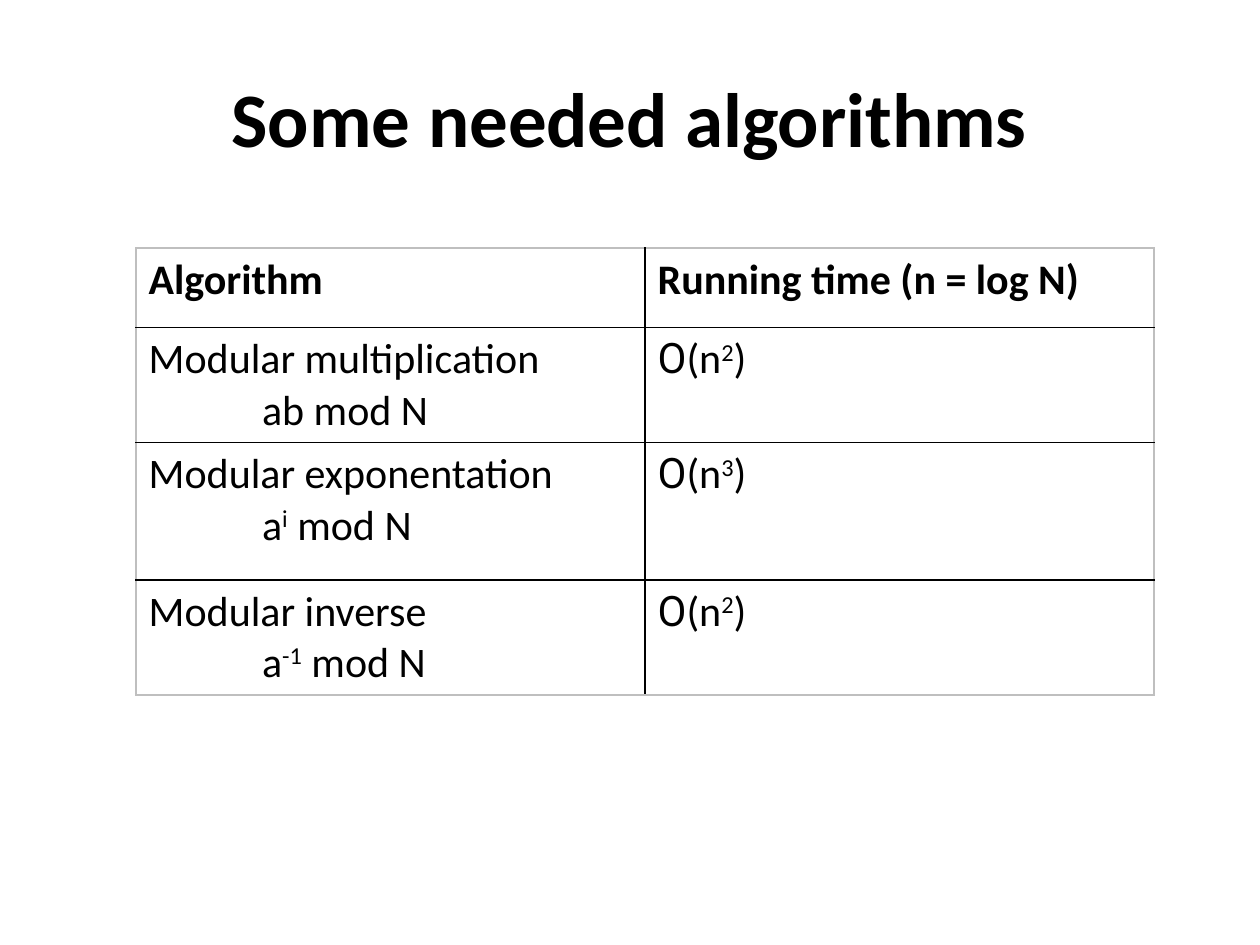
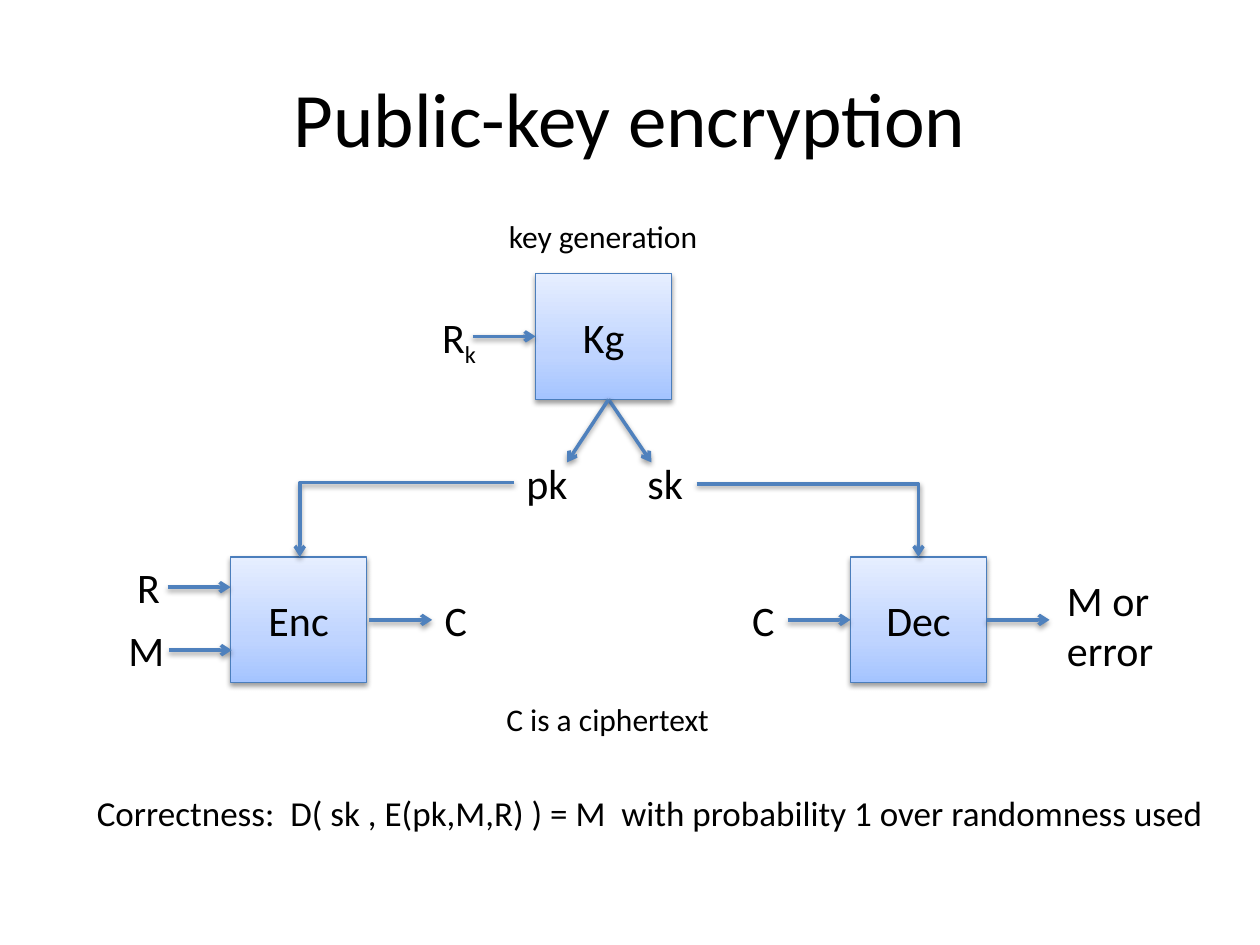
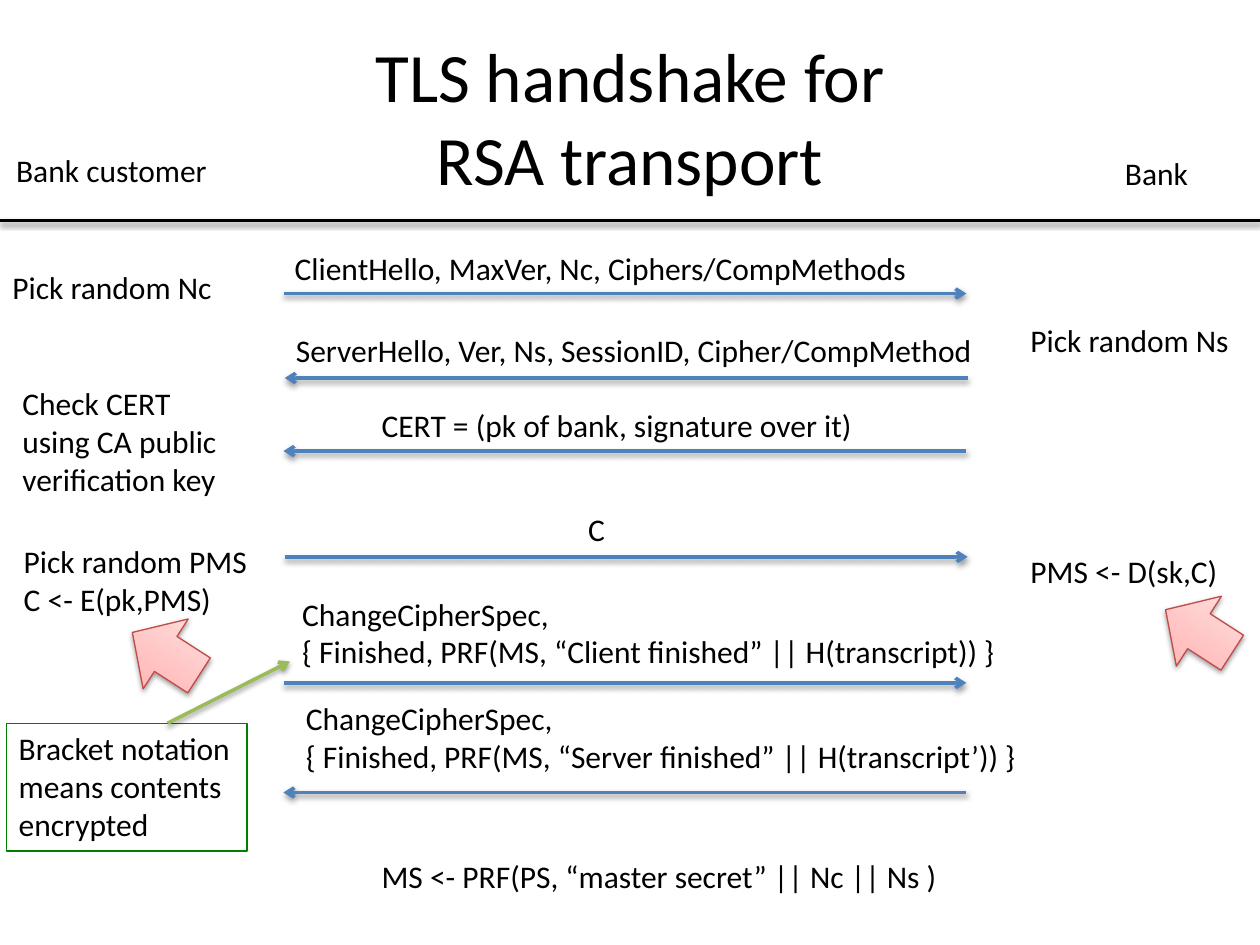
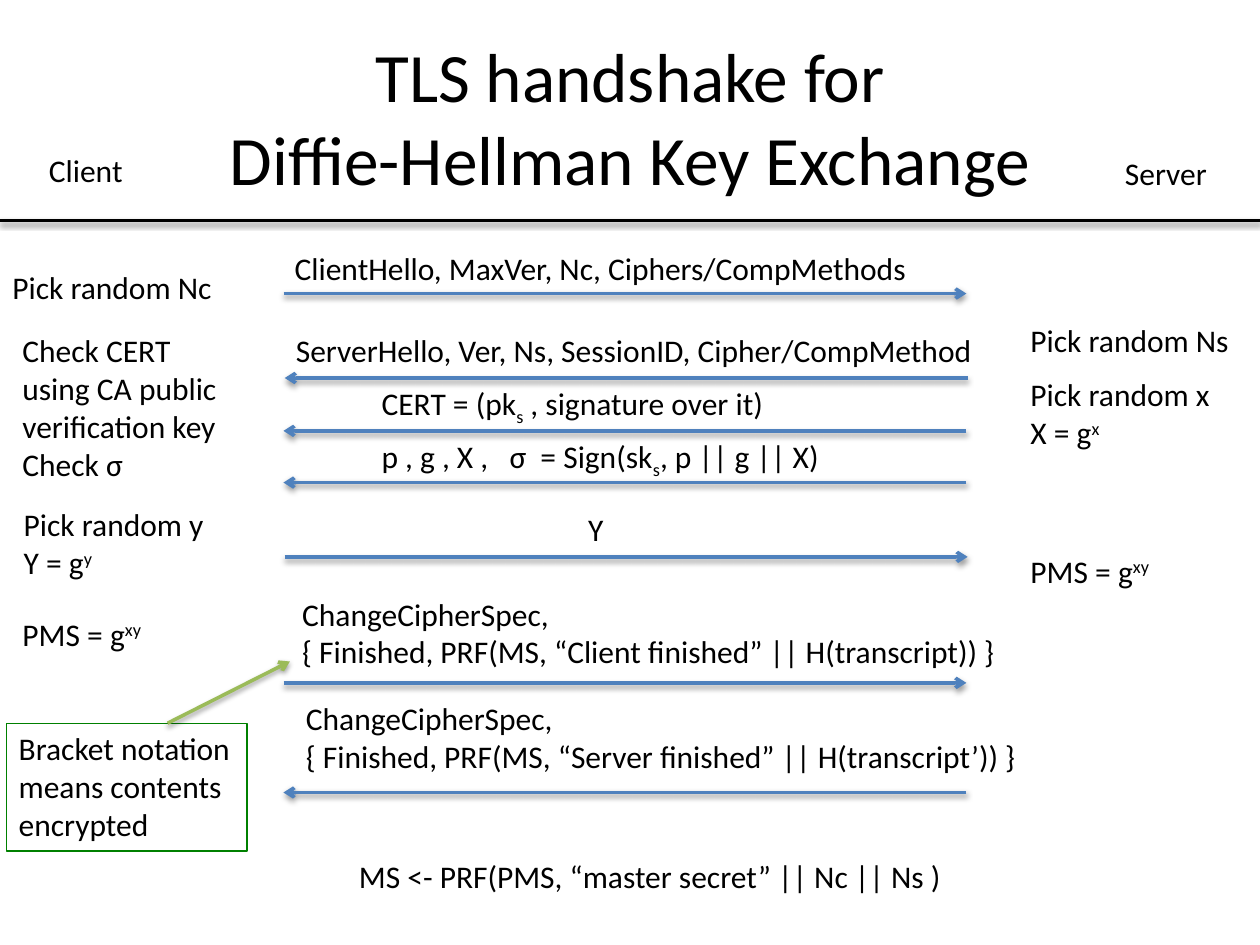
from copy import deepcopy
from dataclasses import dataclass, field
from typing import Any, Optional, Sequence, Union

from lxml.etree import SubElement
from pptx import Presentation
from pptx.dml.color import RGBColor
from pptx.enum.shapes import MSO_CONNECTOR, MSO_SHAPE
from pptx.enum.text import MSO_ANCHOR, MSO_AUTO_SIZE, PP_ALIGN
from pptx.oxml.ns import qn
from pptx.util import Inches, Pt


@dataclass(frozen=True)
class Gradient:
    dark: str
    middle: str
    light: str
    outline: str


@dataclass(frozen=True)
class Theme:
    font: str = "Calibri"
    order_font: str = "Roboto"
    ink: str = "000000"
    arrow: str = "4F81BD"
    callout_arrow: str = "9BBB59"
    note_outline: str = "008000"
    table_frame: str = "BFBFBF"
    blue: Gradient = Gradient("A4C4FF", "BFD4FF", "E6EEFF", "4B7EBC")
    red: Gradient = Gradient("FFA6A5", "FFC0BF", "FFE7E7", "BF4C48")
    title: float = 44
    long_title: float = 39.6
    symbol: float = 24
    statement: float = 20
    message: float = 18
    line_width: float = 2
    outline_width: float = 0.75
    border_width: float = 1
    label_format: dict = field(default_factory=lambda: {
        "word_wrap": False, "auto_size": MSO_AUTO_SIZE.SHAPE_TO_FIT_TEXT})
    title_format: dict = field(default_factory=lambda: {
        "word_wrap": True, "auto_size": MSO_AUTO_SIZE.NONE,
        "vertical_anchor": MSO_ANCHOR.MIDDLE})


THEME = Theme()


@dataclass(frozen=True)
class Span:
    text: str
    baseline: int = 0
    font: str = THEME.font


Line = Union[str, Sequence[Union[str, Span]]]


@dataclass(frozen=True)
class Label:
    left: float
    top: float
    width: float
    lines: Sequence[Line]
    size: float = THEME.message
    outline: Optional[str] = None


@dataclass(frozen=True)
class Arrow:
    x1: float
    y1: float
    x2: float
    y2: float
    color: str = THEME.arrow
    head: bool = True
    bent: bool = False


@dataclass(frozen=True)
class Block:
    left: float
    top: float
    width: float
    height: float
    gradient: Gradient
    text: str = ""
    preset: Any = MSO_SHAPE.RECTANGLE
    rotation: float = 0


def sup(text: str) -> Span:
    return Span(text, 30)


def sub(text: str) -> Span:
    return Span(text, -25)


def rgb(color: str) -> RGBColor:
    return RGBColor.from_string(color)


def apply_format(target: Any, values: dict) -> None:
    for name, value in values.items():
        setattr(target, name, value)


def write_lines(frame: Any, lines: Sequence[Line], size: float, bold: bool = False,
                align: Any = PP_ALIGN.LEFT) -> None:
    for index, line in enumerate(lines):
        paragraph = frame.paragraphs[0] if index == 0 else frame.add_paragraph()
        paragraph.alignment = align
        for part in [line] if isinstance(line, str) else line:
            span = Span(part) if isinstance(part, str) else part
            run = paragraph.add_run()
            run.text = span.text
            apply_format(run.font, {"size": Pt(size), "name": span.font, "bold": bold})
            run.font.color.rgb = rgb(THEME.ink)
            if span.baseline:
                run._r.get_or_add_rPr().set("baseline", str(span.baseline * 1000))


def add_shadow(properties: Any) -> None:
    effects = SubElement(properties, qn("a:effectLst"))
    shadow = SubElement(effects, qn("a:outerShdw"), blurRad=str(Pt(3.1)),
                        dist=str(Pt(1.6)), dir="5400000", rotWithShape="0")
    color = SubElement(shadow, qn("a:srgbClr"), val=THEME.ink)
    SubElement(color, qn("a:alpha"), val="38000")


def draw_label(slide: Any, label: Label) -> None:
    height = 0.1 + len(label.lines) * label.size * 1.22 / 72
    box = slide.shapes.add_textbox(Inches(label.left), Inches(label.top),
                                   Inches(label.width), Inches(height))
    apply_format(box.text_frame, THEME.label_format)
    write_lines(box.text_frame, label.lines, label.size)
    if label.outline:
        box.line.color.rgb = rgb(label.outline)
        box.line.width = Pt(THEME.outline_width)


def draw_arrow(slide: Any, arrow: Arrow) -> None:
    kind = MSO_CONNECTOR.ELBOW if arrow.bent else MSO_CONNECTOR.STRAIGHT
    connector = slide.shapes.add_connector(
        kind, Inches(arrow.x1), Inches(arrow.y1), Inches(arrow.x2), Inches(arrow.y2))
    connector.line.color.rgb = rgb(arrow.color)
    connector.line.width = Pt(THEME.line_width)
    properties = connector._element.spPr
    if arrow.bent:
        properties.find(qn("a:prstGeom")).set("prst", "bentConnector2")
    if arrow.head:
        SubElement(properties.find(qn("a:ln")), qn("a:tailEnd"), type="arrow")
    add_shadow(properties)


def draw_block(slide: Any, block: Block) -> None:
    shape = slide.shapes.add_shape(block.preset, Inches(block.left), Inches(block.top),
                                   Inches(block.width), Inches(block.height))
    shape.rotation = block.rotation
    gradient = block.gradient
    shape.fill.gradient()
    shape.fill.gradient_angle = 90
    stops = shape._element.spPr.find(".//" + qn("a:gsLst"))
    stops.append(deepcopy(stops[0]))
    shades = ((0, gradient.dark), (0.35, gradient.middle), (1, gradient.light))
    for stop, (position, color) in zip(shape.fill.gradient_stops, shades):
        stop.position = position
        stop.color.rgb = rgb(color)
    shape.line.color.rgb = rgb(gradient.outline)
    shape.line.width = Pt(THEME.outline_width)
    add_shadow(shape._element.spPr)
    if block.text:
        shape.text_frame.vertical_anchor = MSO_ANCHOR.MIDDLE
        write_lines(shape.text_frame, [block.text], THEME.symbol, align=PP_ALIGN.CENTER)


PAINTERS = {Label: draw_label, Arrow: draw_arrow, Block: draw_block}


def draw(slide: Any, parts: Sequence[Any]) -> None:
    for part in parts:
        PAINTERS[type(part)](slide, part)


def add_titled_slide(deck: Any, title: str, size: float = THEME.title,
                     bold: bool = False) -> Any:
    slide = deck.slides.add_slide(deck.slide_layouts[5])
    heading = slide.shapes.title
    apply_format(heading, {"left": Inches(0.5), "top": Inches(0.3),
                           "width": Inches(9), "height": Inches(1.25)})
    frame = heading.text_frame
    apply_format(frame, THEME.title_format)
    frame.text = title
    frame.paragraphs[0].alignment = PP_ALIGN.CENTER
    for run in frame.paragraphs[0].runs:
        apply_format(run.font, {"size": Pt(size), "name": THEME.font, "bold": bold})
        run.font.color.rgb = rgb(THEME.ink)
    return slide


def add_borders(cell: Any, outer_sides: dict) -> None:
    properties = cell._tc.get_or_add_tcPr()
    for side, outer in outer_sides.items():
        line = SubElement(properties, qn(f"a:ln{side}"), w=str(Pt(THEME.border_width)))
        fill = SubElement(line, qn("a:solidFill"))
        SubElement(fill, qn("a:srgbClr"), val=THEME.table_frame if outer else THEME.ink)


def running_time(power: str) -> Line:
    return (Span("O", font=THEME.order_font), "(n", sup(power), ")")


def build_algorithms(deck: Any) -> None:
    slide = add_titled_slide(deck, "Some needed algorithms", bold=True)
    entries = (
        (("Algorithm",), ("Running time (n = log N)",)),
        (("Modular multiplication", "ab mod N"), (running_time("2"),)),
        (("Modular exponentation", ("a", sup("i"), " mod N")), (running_time("3"),)),
        (("Modular inverse", ("a", sup("-1"), " mod N")), (running_time("2"),)),
    )
    heights = (0.63, 0.63, 1.09, 0.63)
    table = slide.shapes.add_table(len(entries), 2, Inches(1.08), Inches(1.97),
                                   Inches(8.08), Inches(3.51)).table
    apply_format(table, {"first_row": False, "horz_banding": False})
    for row, (entry, height) in enumerate(zip(entries, heights)):
        table.rows[row].height = Inches(height)
        for column, lines in enumerate(entry):
            cell = table.cell(row, column)
            write_lines(cell.text_frame, lines, THEME.symbol, bold=row == 0)
            for formula in cell.text_frame.paragraphs[1:]:
                formula._p.get_or_add_pPr().set("marL", str(Inches(0.9)))
            add_borders(cell, {"L": column == 0, "R": column == 1,
                               "T": row == 0, "B": row == len(entries) - 1})
            cell.fill.background()


def build_encryption(deck: Any) -> None:
    slide = add_titled_slide(deck, "Public-key encryption")
    stages = (("Enc", 1.83, 4.42), ("Dec", 6.75, 4.42), ("Kg", 4.25, 2.17))
    draw(slide, [Block(left, top, 1.08, 1, THEME.blue, name)
                 for name, left, top in stages])
    symbols = (
        (3.41, 2.42, 0.49, (("R", sub("k")),)),
        (4.08, 3.58, 0.54, ("pk",)),
        (5.04, 3.58, 0.49, ("sk",)),
        (0.99, 4.41, 0.38, ("R",)),
        (0.92, 4.91, 0.49, ("M",)),
        (3.43, 4.67, 0.38, ("C",)),
        (5.87, 4.67, 0.38, ("C",)),
        (8.37, 4.51, 0.9, ("M or", "error")),
    )
    draw(slide, [Label(*symbol, THEME.symbol) for symbol in symbols])
    flows = ((3.75, 2.67), (1.33, 4.66), (1.34, 5.16),
             (2.93, 4.92), (6.25, 4.92), (7.83, 4.92))
    draw(slide, [Arrow(x, y, x + 0.5, y) for x, y in flows])
    draw(slide, [
        Arrow(4.83, 3.17, 5.17, 3.67),
        Arrow(4.83, 3.17, 4.5, 3.67),
        Arrow(4.08, 3.83, 2.38, 4.42, bent=True),
        Arrow(5.53, 3.84, 7.29, 4.42, bent=True),
        Label(3.94, 1.67, 1.73, ("key generation",)),
        Label(3.92, 5.51, 1.83, ("C is a ciphertext",)),
        Label(0.67, 6.23, 9.07,
              ("Correctness:  D( sk , E(pk,M,R) ) = M  with probability 1 over randomness used",),
              THEME.statement),
    ])


def to_server(y: float, left: float = 2.25) -> Arrow:
    return Arrow(left, y, left + 5.42, y)


def to_client(y: float, left: float = 2.25) -> Arrow:
    return Arrow(left + 5.42, y, left, y)


def finished(left: float, top: float, width: float, proof: str) -> Label:
    return Label(left, top, width,
                 ("ChangeCipherSpec,", "{ Finished, PRF(MS, " + proof + ") }"))


HANDSHAKE = (
    Arrow(0, 1.75, 10, 1.75, THEME.ink, head=False),
    Label(0, 2.08, 1.8, ("Pick random Nc",)),
    Label(8.08, 2.5, 1.8, ("Pick random Ns",)),
    to_server(2.33),
    Label(2.24, 1.93, 5.21, ("ClientHello, MaxVer, Nc, Ciphers/CompMethods",)),
    to_client(3, 2.26),
    Label(2.25, 2.58, 5.69, ("ServerHello, Ver, Ns, SessionID, Cipher/CompMethod",)),
    to_server(4.42, 2.26),
    to_server(5.42),
    finished(2.3, 4.67, 5.77, "“Client finished” || H(transcript)"),
    to_client(6.29),
    finished(2.33, 5.5, 5.84, "“Server finished” || H(transcript’)"),
    Label(0.05, 5.74, 1.91, ("Bracket notation", "means contents", "encrypted"),
          outline=THEME.note_outline),
    Arrow(1.33, 5.74, 2.3, 5.25, THEME.callout_arrow),
)
CHECK_CERT = ("Check CERT", "using CA public", "verification key")


def build_handshake(deck: Any, exchange: str, parts: Sequence[Any]) -> None:
    slide = add_titled_slide(deck, "TLS handshake for\v" + exchange, THEME.long_title)
    draw(slide, HANDSHAKE)
    draw(slide, parts)


def build_rsa(deck: Any) -> None:
    highlights = [Block(left, top, 0.63, 0.66, THEME.red,
                        preset=MSO_SHAPE.LEFT_ARROW, rotation=32.8)
                  for left, top in ((1, 4.86), (9.2, 4.68))]
    build_handshake(deck, "RSA transport", [
        Label(0.03, 1.15, 1.74, ("Bank customer",)),
        Label(8.83, 1.17, 0.71, ("Bank",)),
        Label(8.08, 4.33, 1.7, ("PMS <- D(sk,C)",)),
        to_client(3.58),
        Label(2.93, 3.17, 3.98, ("CERT = (pk of bank, signature over it)",)),
        Label(0.08, 3, 1.76, CHECK_CERT),
        Label(0.09, 4.25, 2, ("Pick random PMS", "C <- E(pk,PMS)")),
        Label(4.57, 4, 0.34, ("C",)),
        Label(2.93, 6.75, 4.65, ("MS <- PRF(PS, “master secret” || Nc || Ns )",)),
        *highlights,
    ])


def build_diffie_hellman(deck: Any) -> None:
    shared_secret = ("PMS = g", sup("xy"))
    build_handshake(deck, "Diffie-Hellman Key Exchange", [
        Label(0.29, 1.15, 0.8, ("Client",)),
        Label(8.83, 1.17, 0.86, ("Server",)),
        Label(8.08, 4.33, 1.18, (shared_secret,)),
        to_client(3.42),
        Label(2.93, 3, 3.28, (("CERT = (pk", sub("s"), " , signature over it)"),)),
        Label(0.08, 2.58, 1.77, (*CHECK_CERT, "Check σ")),
        Label(0.09, 3.96, 1.7, ("Pick random y", ("Y = g", sup("y")))),
        Label(4.57, 4, 0.33, ("Y",)),
        Label(2.75, 6.75, 4.87, ("MS <- PRF(PMS, “master secret” || Nc || Ns )",)),
        to_client(3.83),
        Label(2.93, 3.42, 3.71,
              (("p , g , X ,   σ  = Sign(sk", sub("s"), ", p || g || X)"),)),
        Label(8.08, 2.93, 1.65, ("Pick random x", ("X = g", sup("x")))),
        Label(0.08, 4.83, 1.18, (shared_secret,)),
    ])


def main() -> None:
    deck = Presentation()
    apply_format(deck, {"slide_width": Inches(10), "slide_height": Inches(7.5)})
    for build in (build_algorithms, build_encryption, build_rsa, build_diffie_hellman):
        build(deck)
    deck.save("out.pptx")


if __name__ == "__main__":
    main()
